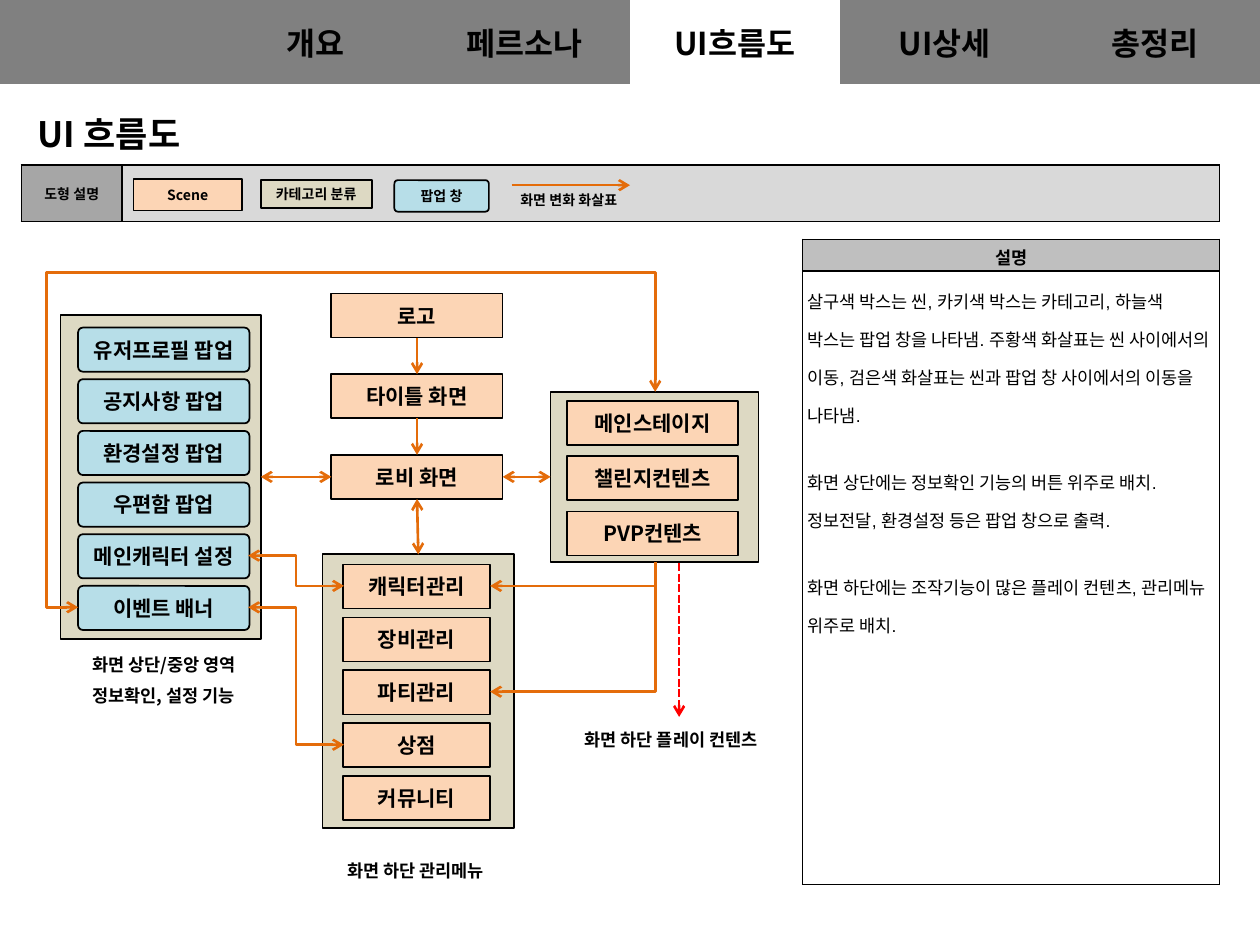
from lxml import etree
from pptx import Presentation
from pptx.dml.color import RGBColor
from pptx.enum.dml import MSO_LINE
from pptx.enum.shapes import MSO_CONNECTOR, MSO_SHAPE
from pptx.enum.text import MSO_ANCHOR, MSO_AUTO_SIZE, PP_ALIGN
from pptx.oxml.ns import qn
from pptx.util import Inches, Pt

RECT, ROUND = MSO_SHAPE.RECTANGLE, MSO_SHAPE.ROUNDED_RECTANGLE
STRAIGHT, ELBOW = MSO_CONNECTOR.STRAIGHT, MSO_CONNECTOR.ELBOW
SQUARE_DOT = MSO_LINE.SQUARE_DOT
LEFT, CENTER = PP_ALIGN.LEFT, PP_ALIGN.CENTER
TOP, MIDDLE = MSO_ANCHOR.TOP, MSO_ANCHOR.MIDDLE
TOP_SIDE, LEFT_SIDE, BOTTOM_SIDE, RIGHT_SIDE = range(4)

KOREAN = "Noto Sans CJK KR"
BLACK, ORANGE, RED = "000000", "E46C0A", "FF0000"
SCENE, CATEGORY, POPUP = "FCD5B5", "DDD9C3", "B7DEE8"
NO_STYLE_TABLE = "{2D5ABB26-0587-4C30-8999-92F81FD0307C}"


def rgb(value):
    return RGBColor.from_string(value)


def write(frame, *lines, size=12, bold=True, font=KOREAN, align=CENTER,
          spacing=None, gaps=()):
    """Write one paragraph per line; gaps maps a paragraph index to points before it."""
    gaps = dict(gaps)
    for index, line in enumerate(lines):
        paragraph = frame.paragraphs[0] if index == 0 else frame.add_paragraph()
        paragraph.alignment = align
        if spacing:
            paragraph.line_spacing = spacing
        if index in gaps:
            paragraph.space_before = Pt(gaps[index])
        run = paragraph.add_run()
        run.text = line
        run.font.size, run.font.bold, run.font.name = Pt(size), bold, font
        run.font.color.rgb = rgb(BLACK)
        east_asian = etree.SubElement(run.font._element, qn("a:ea"))
        east_asian.set("typeface", KOREAN)


def set_margins(target, margin):
    target.margin_left = target.margin_right = Inches(margin)
    target.margin_top = target.margin_bottom = Inches(margin)


class FlowSlide:
    def __init__(self, slide):
        self.slide = slide
        self.shapes = slide.shapes

    def title(self, text, x, y, w, h):
        title = self.shapes.title
        title.left, title.top, title.width, title.height = map(Inches, (x, y, w, h))
        frame = title.text_frame
        frame.auto_size, frame.vertical_anchor = MSO_AUTO_SIZE.NONE, TOP
        write(frame, text, size=20, align=LEFT)

    def box(self, x, y, w, h, fill, text=None, size=12):
        kind = ROUND if fill == POPUP else RECT
        box = self.shapes.add_shape(kind, *map(Inches, (x, y, w, h)))
        if kind == ROUND:
            box.adjustments[0] = 0.11
        box.shadow.inherit = False
        box.fill.solid()
        box.fill.fore_color.rgb = rgb(fill)
        box.line.color.rgb = rgb(BLACK)
        box.line.width = Pt(1)
        if text:
            box.text_frame.vertical_anchor = MIDDLE
            set_margins(box.text_frame, 0.04)
            write(box.text_frame, text, size=size)
        return box

    def stack(self, labels, x, y, w, step, fill):
        return [self.box(x, y + i * step, w, 0.35, fill, label)
                for i, label in enumerate(labels)]

    def caption(self, x, y, w, h, *lines, size=10, spacing=1.5, margin=None):
        frame = self.shapes.add_textbox(*map(Inches, (x, y, w, h))).text_frame
        frame.word_wrap, frame.vertical_anchor = True, MIDDLE
        if margin:
            set_margins(frame, margin)
        write(frame, *lines, size=size, spacing=spacing)

    def arrow(self, start, end, both=False, color=ORANGE, dash=None, kind=STRAIGHT):
        arrow = self.shapes.add_connector(kind, *map(Inches, (*start, *end)))
        arrow.line.color.rgb = rgb(color)
        arrow.line.width = Pt(1.5)
        if dash:
            arrow.line.dash_style = dash
        for tag in ("a:headEnd", "a:tailEnd") if both else ("a:tailEnd",):
            etree.SubElement(arrow.line._ln, qn(tag)).set("type", "arrow")
        etree.SubElement(arrow._element.spPr, qn("a:effectLst"))
        return arrow

    def link(self, source, source_side, target, target_side, both=False):
        arrow = self.arrow((0, 0), (1, 1), both)
        arrow.begin_connect(source, source_side)
        arrow.end_connect(target, target_side)

    def turn_left(self, start, end):
        """Arrow that runs down from start, then left into end."""
        (x1, y1), (x2, y2) = start, end
        drop, reach = y2 - y1, x1 - x2
        left, top = (x1 + x2 - drop) / 2, (y1 + y2 - reach) / 2
        arrow = self.arrow((left, top), (left + drop, top + reach), kind=ELBOW)
        arrow._element.spPr.find(qn("a:prstGeom")).set("prst", "bentConnector2")
        arrow._element.spPr.find(qn("a:xfrm")).set("rot", str(90 * 60000))

    def detour(self, start, end, *bends):
        """Two-headed arrow with three bends, placed as shares of width and height."""
        arrow = self.arrow(start, end, both=True, kind=ELBOW)
        geometry = arrow._element.spPr.find(qn("a:prstGeom"))
        geometry.set("prst", "bentConnector4")
        guides = geometry.find(qn("a:avLst"))
        for number, share in enumerate(bends, 1):
            guide = etree.SubElement(guides, qn("a:gd"))
            guide.set("name", f"adj{number}")
            guide.set("fmla", f"val {round(share * 100000)}")

    def table(self, x, y, widths, heights, fills, border=True):
        """Table with cell fills given row by row; None leaves a cell clear."""
        size = (sum(widths), sum(heights))
        table = self.shapes.add_table(len(heights), len(widths),
                                      *map(Inches, (x, y, *size))).table
        table.first_row = table.horz_banding = False
        table._tbl.tblPr.find(qn("a:tableStyleId")).text = NO_STYLE_TABLE
        for column, width in zip(table.columns, widths):
            column.width = Inches(width)
        for row, height in zip(table.rows, heights):
            row.height = Inches(height)
        for cell, fill in zip(table.iter_cells(), fills):
            cell.vertical_anchor = MIDDLE
            if border:
                set_margins(cell, 0.04)
                self.outline(cell)
            if fill:
                cell.fill.solid()
                cell.fill.fore_color.rgb = rgb(fill)
            else:
                cell.fill.background()
        return table

    def outline(self, cell):
        properties = cell._tc.get_or_add_tcPr()
        for side in ("a:lnL", "a:lnR", "a:lnT", "a:lnB"):
            line = etree.SubElement(properties, qn(side), w=str(Pt(1)))
            solid = etree.SubElement(line, qn("a:solidFill"))
            etree.SubElement(solid, qn("a:srgbClr"), val=BLACK)


def main():
    deck = Presentation()
    deck.slide_width, deck.slide_height = Inches(10), Inches(7.5)
    flow = FlowSlide(deck.slides.add_slide(deck.slide_layouts[5]))

    tabs = ["", "개요", "페르소나", "UI흐름도", "UI상세", "총정리"]
    tab_fills = [None if tab == "UI흐름도" else "808080" for tab in tabs]
    navigation = flow.table(0, 0, [10 / len(tabs)] * len(tabs), [0.67], tab_fills, border=False)
    for cell, tab in zip(navigation.iter_cells(), tabs):
        if tab:
            write(cell.text_frame, tab, size=18)
    flow.title("UI 흐름도", 0.2, 0.84, 8.03, 0.44)

    legend = flow.table(0.17, 1.31, [0.8, 8.71], [0.45], ["A6A6A6", "D9D9D9"])
    write(legend.cell(0, 0).text_frame, "도형 설명", size=8, font="Arial")
    flow.box(1.06, 1.42, 0.86, 0.25, SCENE, "Scene", size=8)
    flow.box(2.07, 1.43, 0.88, 0.22, CATEGORY, "카테고리 분류", size=8)
    flow.box(3.13, 1.43, 0.75, 0.25, POPUP, "팝업 창", size=8)
    flow.arrow((4.06, 1.47), (5, 1.47))
    flow.caption(4.03, 1.46, 0.97, 0.26, "화면 변화 화살표", size=8, spacing=None, margin=0.04)

    description = flow.table(6.37, 1.9, [3.31], [0.25, 4.87], ["BFBFBF", None])
    write(description.cell(0, 0).text_frame, "설명", size=10)
    body = description.cell(1, 0)
    body.vertical_anchor = TOP
    write(body.text_frame,
          "살구색 박스는 씬, 카키색 박스는 카테고리, 하늘색 박스는 팝업 창을 나타냄. "
          "주황색 화살표는 씬 사이에서의 이동, 검은색 화살표는 씬과 팝업 창 사이에서의 이동을 나타냄.",
          "화면 상단에는 정보확인 기능의 버튼 위주로 배치.",
          "정보전달, 환경설정 등은 팝업 창으로 출력.",
          "화면 하단에는 조작기능이 많은 플레이 컨텐츠, 관리메뉴 위주로 배치.",
          size=10, bold=False, font="Arial", align=LEFT, spacing=1.5,
          gaps={1: 17, 3: 17})

    info_group = flow.box(0.48, 2.5, 1.59, 2.57, CATEGORY)
    menu_group = flow.box(2.56, 4.4, 1.52, 2.17, CATEGORY)
    play_group = flow.box(4.37, 3.11, 1.65, 1.35, CATEGORY)
    logo, opening, lobby = flow.stack(["로고", "타이틀 화면", "로비 화면"],
                                      2.63, 2.33, 1.36, 0.64, SCENE)
    flow.stack(["유저프로필 팝업", "공지사항 팝업", "환경설정 팝업", "우편함 팝업",
                "메인캐릭터 설정", "이벤트 배너"], 0.62, 2.6, 1.36, 0.41, POPUP)
    flow.stack(["캐릭터관리", "장비관리", "파티관리", "상점", "커뮤니티"],
               2.72, 4.48, 1.17, 0.42, SCENE)
    flow.stack(["메인스테이지", "챌린지컨텐츠", "PVP컨텐츠"], 4.5, 3.18, 1.36, 0.44, SCENE)

    flow.link(logo, BOTTOM_SIDE, opening, TOP_SIDE)
    flow.link(opening, BOTTOM_SIDE, lobby, TOP_SIDE)
    flow.link(lobby, BOTTOM_SIDE, menu_group, TOP_SIDE, both=True)
    flow.link(lobby, LEFT_SIDE, info_group, RIGHT_SIDE, both=True)
    flow.link(lobby, RIGHT_SIDE, play_group, LEFT_SIDE, both=True)
    for popup_y, menu_y in ((4.41, 4.65), (4.82, 5.91)):
        flow.arrow((1.97, popup_y), (2.73, menu_y), both=True, kind=ELBOW)
    flow.detour((0.62, 4.82), (5.2, 3.11), -0.055, 1.553)
    for menu_y in (4.65, 5.49):
        flow.turn_left((5.2, 4.46), (3.89, menu_y))
    flow.arrow((5.39, 4.47), (5.39, 5.69), color=RED, dash=SQUARE_DOT)

    flow.caption(0.48, 5.15, 1.64, 0.41, "화면 상단/중앙 영역", "정보확인, 설정 기능")
    flow.caption(4.45, 5.67, 1.75, 0.32, "화면 하단 플레이 컨텐츠")
    flow.caption(2.48, 6.71, 1.64, 0.32, "화면 하단 관리메뉴")

    deck.save("out.pptx")


if __name__ == "__main__":
    main()
